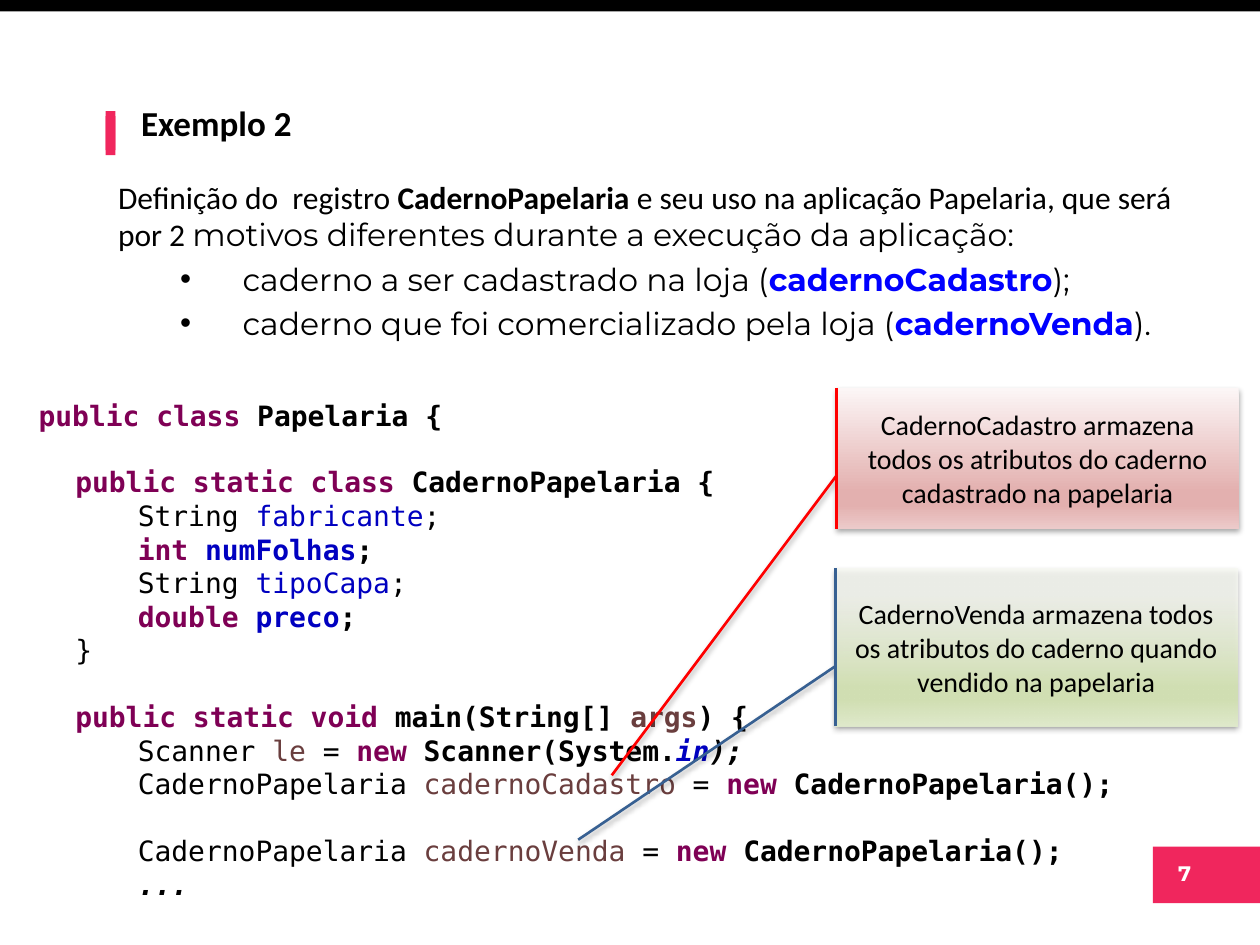
"""Builds the slide "Exemplo 2" on the CadernoPapelaria record."""
from dataclasses import dataclass

import lxml.etree
import pptx
import pptx.dml.color
import pptx.enum.shapes
import pptx.enum.text
import pptx.oxml.ns
import pptx.util

Cm = pptx.util.Cm
Pt = pptx.util.Pt
qn = pptx.oxml.ns.qn
ALIGN = pptx.enum.text.PP_ALIGN
ANCHOR = pptx.enum.text.MSO_ANCHOR
SHAPE = pptx.enum.shapes.MSO_SHAPE


@dataclass(frozen=True)
class Theme:
    black: str = "000000"
    white: str = "FFFFFF"
    pink: str = "F0265D"
    blue: str = "0000FF"
    red: str = "FF0000"
    navy: str = "376092"
    keyword: str = "7F0055"
    field: str = "0000C0"
    variable: str = "6A3E3E"
    red_stops: tuple = ((0, "FCF6F6", 100), (74, "E3B0AF", 100), (83, "E3B0AF", 100), (100, "ECCACA", 100))
    green_stops: tuple = ((17, "F8FAF3", 81), (74, "D2E0B4", 100), (83, "D2E0B4", 100), (100, "E1EBCD", 100))
    sans: str = "Calibri"
    display: str = "Montserrat"
    mono: str = "DejaVu Sans Mono"
    title: int = 20
    body: int = 18
    text: int = 16
    number: int = 12


T = Theme()

PLAIN = {}
BOLD = {"bold": True}
KEYWORD = {"color": T.keyword, "bold": True}
FIELD = {"color": T.field}
BOLD_FIELD = {"color": T.field, "bold": True}
VARIABLE = {"color": T.variable}
BOLD_VARIABLE = {"color": T.variable, "bold": True}
NAME = {"color": T.blue, "bold": True, "font": T.display}
DISPLAY = {"font": T.display}

MEMBER, STATEMENT = 0.74, 2.0
BLANK = 19


def new_record(variable):
    """Return the tokens of a statement that creates a record."""
    return [("CadernoPapelaria ", PLAIN), (variable, VARIABLE), (" = ", PLAIN),
            ("new ", KEYWORD), ("CadernoPapelaria();", BOLD)]


CODE = [
    (0, 0, [("public class", KEYWORD), (" Papelaria {", BOLD)]),
    (MEMBER, BLANK, [("public static class ", KEYWORD), ("CadernoPapelaria {", BOLD)]),
    (STATEMENT, 0, [("String ", PLAIN), ("fabricante", FIELD), (";", PLAIN)]),
    (STATEMENT, 0, [("int ", KEYWORD), ("numFolhas", BOLD_FIELD), (";", BOLD)]),
    (STATEMENT, 0, [("String ", PLAIN), ("tipoCapa", FIELD), (";", PLAIN)]),
    (STATEMENT, 0, [("double ", KEYWORD), ("preco", BOLD_FIELD), (";", BOLD)]),
    (MEMBER, 0, [("}", PLAIN)]),
    (MEMBER, BLANK, [("public static void", KEYWORD), (" main(String[] ", BOLD),
                     ("args", BOLD_VARIABLE), (") {", BOLD)]),
    (STATEMENT, 0, [("Scanner ", PLAIN), ("le", VARIABLE), (" = ", PLAIN), ("new", KEYWORD),
                    (" Scanner(System.", BOLD), ("in", {**BOLD_FIELD, "italic": True}),
                    (");", {"bold": True, "italic": True})]),
    (STATEMENT, 0, new_record("cadernoCadastro")),
    (STATEMENT, BLANK, new_record("cadernoVenda")),
    (STATEMENT, 0, [("...", {"bold": True, "italic": True})]),
]

INTRO = [
    ("Definição do  registro ", PLAIN),
    ("CadernoPapelaria", BOLD),
    (" e seu uso na aplicação Papelaria, que será por 2 ", PLAIN),
    ("motivos diferentes durante a execução da aplicação:", DISPLAY),
]
USES = [
    ("caderno a ser cadastrado na loja (", "cadernoCadastro", ");"),
    ("caderno que foi comercializado pela loja (", "cadernoVenda", ")."),
]


def rgb(value):
    """Return a colour from its hex value."""
    return pptx.dml.color.RGBColor.from_string(value)


def add_run(p, text, size=T.text, font=T.sans, color=T.black, bold=False, italic=False):
    """Add formatted text to a paragraph."""
    r = p.add_run()
    r.text = text
    r.font.size, r.font.name = Pt(size), font
    r.font.bold, r.font.italic = bold, italic
    r.font.color.rgb = rgb(color)


def add_runs(p, tokens, **base):
    """Add a list of tokens that share a base format."""
    for text, style in tokens:
        add_run(p, text, **{**base, **style})


def add_box(s, x, y, w, h, anchor=ANCHOR.TOP, wrap=True):
    """Add a text box and return its text frame."""
    tf = s.shapes.add_textbox(Cm(x), Cm(y), Cm(w), Cm(h)).text_frame
    tf.word_wrap = wrap
    tf.vertical_anchor = anchor
    return tf


def add_bar(s, x, y, w, h, color):
    """Add a plain filled rectangle."""
    sp = s.shapes.add_shape(SHAPE.RECTANGLE, Cm(x), Cm(y), Cm(w), Cm(h))
    sp.shadow.inherit = False
    sp.fill.solid()
    sp.fill.fore_color.rgb = rgb(color)
    sp.line.fill.background()


def add_color(parent, color, alpha):
    """Append a colour with an opacity in percent."""
    clr = lxml.etree.SubElement(parent, qn("a:srgbClr"), val=color)
    if alpha < 100:
        lxml.etree.SubElement(clr, qn("a:alpha"), val=str(alpha * 1000))


def add_callout(s, text, x, y, w, h, pointer, stops, color):
    """Add an accent-bar callout with a gradient and a soft shadow."""
    sp = s.shapes.add_shape(SHAPE.LINE_CALLOUT_1_ACCENT_BAR, Cm(x), Cm(y), Cm(w), Cm(h))
    for i, value in enumerate((0.62, 0, *pointer)):
        sp.adjustments[i] = value
    sp.fill.gradient()
    sp.fill.gradient_angle = 270
    stop_list = sp.element.spPr.find(f".//{qn('a:gsLst')}")
    for old in list(stop_list):
        stop_list.remove(old)
    for position, stop, alpha in stops:
        add_color(lxml.etree.SubElement(stop_list, qn("a:gs"), pos=str(position * 1000)), stop, alpha)
    sp.line.color.rgb = rgb(color)
    sp.line.width = Pt(1.5)
    sp.shadow.inherit = False
    shadow = lxml.etree.SubElement(
        sp.element.spPr.find(qn("a:effectLst")), qn("a:outerShdw"),
        blurRad=str(Pt(3.1)), dist=str(Pt(1.8)), dir="5400000", rotWithShape="0")
    add_color(shadow, T.black, 35)
    tf = sp.text_frame
    tf.word_wrap = True
    tf.vertical_anchor = ANCHOR.MIDDLE
    tf.paragraphs[0].alignment = ALIGN.CENTER
    add_run(tf.paragraphs[0], text)


def add_frame(s):
    """Add the top band, title marker and page number."""
    add_bar(s, 0, 0, 25.4, 0.23, T.black)
    add_bar(s, 23.24, 17.07, 2.18, 1.14, T.pink)
    for y in (2.34, 2.24):
        add_bar(s, 2.13, y, 0.2, 0.79, T.pink)
    p = add_box(s, 23.27, 17.22, 1.22, 0.76, wrap=False).paragraphs[0]
    p.alignment = ALIGN.CENTER
    add_run(p, "7", size=T.number, font=T.display, color=T.white, bold=True)


def set_title(s, text):
    """Place and format the title placeholder."""
    sp = s.shapes.title
    sp.left, sp.top, sp.width, sp.height = Cm(2.59), Cm(1.93), Cm(22.86), Cm(1.09)
    sp.text_frame.vertical_anchor = ANCHOR.MIDDLE
    p = sp.text_frame.paragraphs[0]
    p.alignment = ALIGN.LEFT
    add_run(p, text, size=T.title, bold=True)


def add_intro(s):
    """Add the introduction and its bulleted uses."""
    tf = add_box(s, 2.13, 2.72, 22.28, 4.29, anchor=ANCHOR.BOTTOM)
    add_runs(tf.paragraphs[0], INTRO, size=T.body)
    for before, name, after in USES:
        p = tf.add_paragraph()
        p.space_before = Pt(3.6)
        pPr = p._p.get_or_add_pPr()
        pPr.set("marL", str(Cm(2.51)))
        pPr.set("indent", str(-Cm(1.26)))
        lxml.etree.SubElement(pPr, qn("a:buFont"), typeface="Arial")
        lxml.etree.SubElement(pPr, qn("a:buChar"), char="•")
        add_runs(p, [(before, DISPLAY), (name, NAME), (after, DISPLAY)], size=T.body)


def add_code(s):
    """Add the program listing."""
    tf = add_box(s, 0.53, 7.9, 23.88, 10.52)
    for i, (indent, gap, tokens) in enumerate(CODE):
        p = tf.add_paragraph() if i else tf.paragraphs[0]
        p.space_before = Pt(gap)
        p._p.get_or_add_pPr().set("indent", str(Cm(indent)))
        add_runs(p, tokens, font=T.mono)


def main():
    """Build and save the presentation."""
    prs = pptx.Presentation()
    prs.slide_width, prs.slide_height = Cm(25.4), Cm(19.05)
    s = prs.slides.add_slide(prs.slide_layouts[5])
    add_frame(s)
    set_title(s, "Exemplo 2")
    add_intro(s)
    add_code(s)
    add_callout(s, "CadernoCadastro armazena todos os atributos do caderno cadastrado na papelaria",
                16.87, 7.82, 8.1, 2.84, (2.75, -0.56), T.red_stops, T.red)
    add_callout(s, "CadernoVenda armazena todos os atributos do caderno quando vendido na papelaria",
                16.84, 11.46, 8.1, 3.18, (1.72, -0.64), T.green_stops, T.navy)
    prs.save("out.pptx")


if __name__ == "__main__":
    main()
